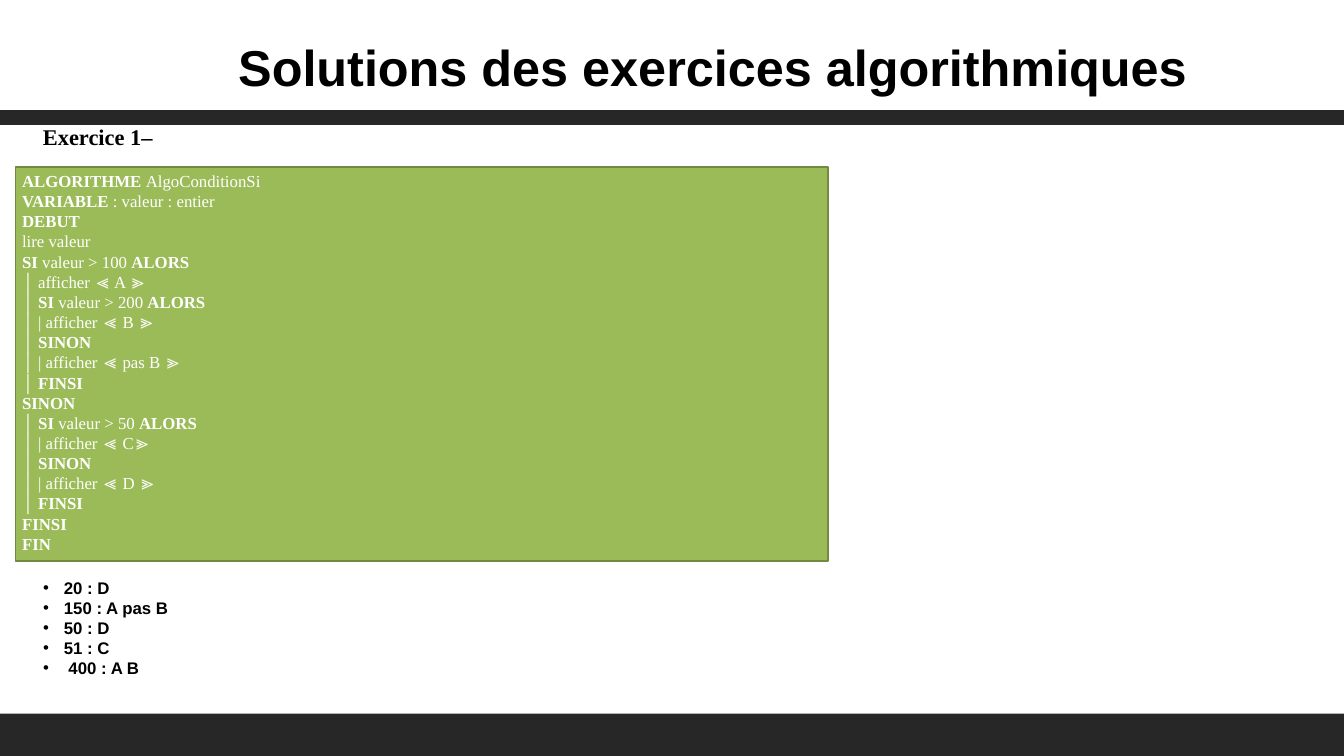
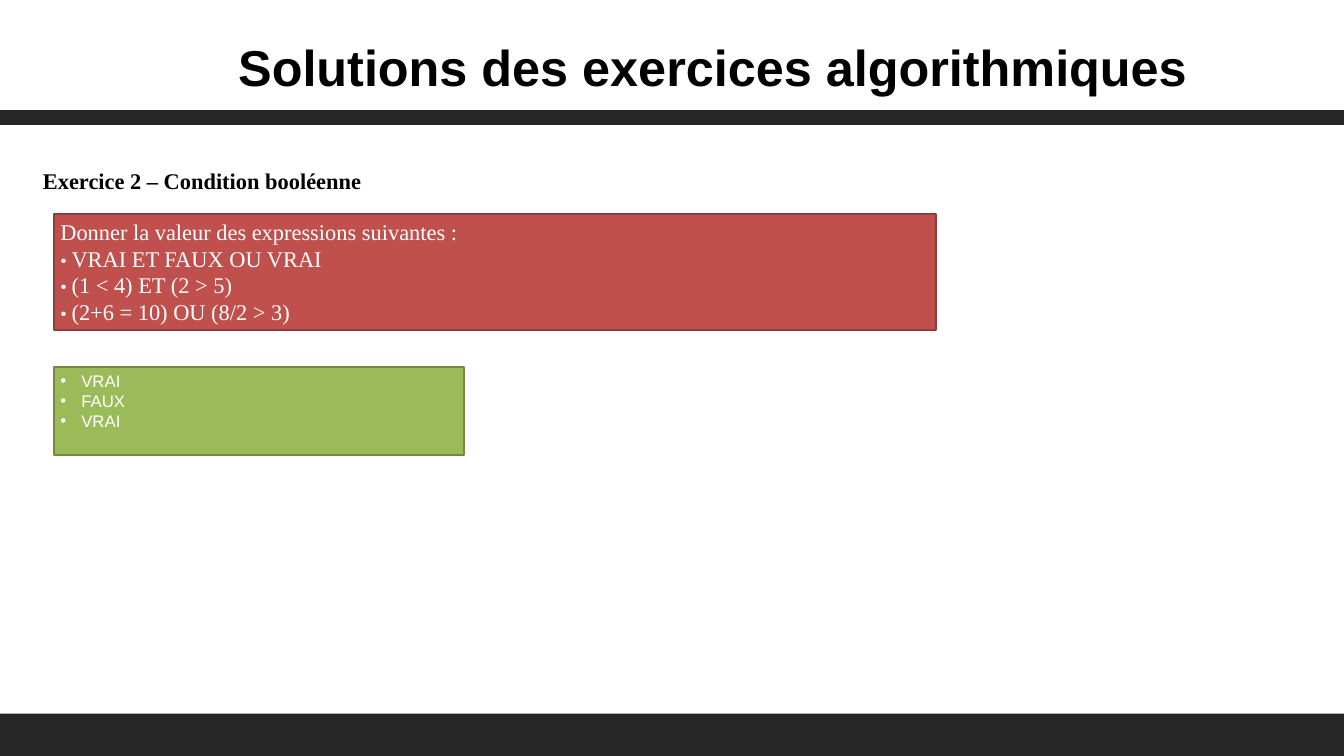
from dataclasses import dataclass, replace

from lxml.etree import SubElement
from pptx import Presentation
from pptx.dml.color import RGBColor
from pptx.enum.shapes import MSO_SHAPE
from pptx.enum.text import MSO_ANCHOR, MSO_AUTO_SIZE, PP_ALIGN
from pptx.oxml.ns import qn
from pptx.util import Inches, Pt

BLACK, WHITE, CHARCOAL = "000000", "FFFFFF", "272727"
GREEN, DARK_GREEN = "9BBB59", "738A42"
RED, DARK_RED = "C0504D", "8E3B39"
SANS, SERIF = "Arial", "Times New Roman"
BULLET_INDENT = Inches(0.31)


@dataclass(frozen=True)
class TextStyle:
    """Font settings of one run."""
    size: int
    font: str
    color: str
    bold: bool = False


TITLE = TextStyle(54, SANS, BLACK, True)
HEADING = TextStyle(24, SERIF, BLACK, True)
CODE = TextStyle(18, SERIF, WHITE)
QUESTION = TextStyle(24, SERIF, WHITE)
RESULT = TextStyle(18, SANS, BLACK, True)
ANSWER = TextStyle(18, SANS, WHITE)

ALGORITHM = [
    "*ALGORITHME *AlgoConditionSi",
    "*VARIABLE *: valeur : entier",
    "*DEBUT*",
    "lire valeur",
    "*SI *valeur > 100 *ALORS*",
    "│ afficher ≪ A ≫",
    "│ *SI *valeur > 200 *ALORS*",
    "│ | afficher ≪ B ≫",
    "│ *SINON*",
    "│ | afficher ≪ pas B ≫",
    "│ *FINSI*",
    "*SINON*",
    "│ *SI *valeur > 50 *ALORS*",
    "│ | afficher ≪ C≫",
    "│ *SINON*",
    "│ | afficher ≪ D ≫",
    "│ *FINSI*",
    "*FINSI*",
    "*FIN*",
]
RESULTS = ["20 : D", "150 : A pas B", "50 : D", "51 : C", " 400 : A B"]
EXPRESSIONS = ["VRAI ET FAUX OU VRAI", "(1 < 4) ET (2 > 5)", "(2+6 = 10) OU (8/2 > 3)"]
ANSWERS = ["VRAI", "FAUX", "VRAI"]


def color(hex_code):
    """Turn a hex string into a colour."""
    return RGBColor.from_string(hex_code)


def plain(texts, style):
    """Make one single-run line of each text."""
    return [[(text, style)] for text in texts]


def code_line(text):
    """Split a code line at its asterisks, which enclose the keywords."""
    return [(part, replace(CODE, bold=index % 2 == 1))
            for index, part in enumerate(text.split("*")) if part]


class Deck:
    """Holds the shared style and the current slide; boxes are in percent of the slide."""

    def __init__(self):
        """Open a wide presentation."""
        self.presentation = Presentation()
        self.presentation.slide_width = Inches(20)
        self.presentation.slide_height = Inches(11.25)
        self.slide = None

    def box(self, left, top, width, height):
        """Convert percentages of the slide to lengths."""
        across = self.presentation.slide_width / 100
        down = self.presentation.slide_height / 100
        return [int(length) for length in
                (left * across, top * down, width * across, height * down)]

    def place(self, shape, box):
        """Move a placeholder to its box."""
        shape.left, shape.top, shape.width, shape.height = self.box(*box)

    def paint(self, shape, fill, line=None):
        """Set fill and outline."""
        shape.fill.solid()
        shape.fill.fore_color.rgb = color(fill)
        if line:
            shape.line.color.rgb = color(line)
            shape.line.width = Pt(2)
        else:
            shape.line.fill.background()

    def add_text(self, shape, lines, align=PP_ALIGN.LEFT, anchor=MSO_ANCHOR.TOP,
                 spacing=1.0, bullets=False):
        """Put lines of runs into a shape."""
        frame = shape.text_frame
        frame.word_wrap = True
        frame.auto_size = MSO_AUTO_SIZE.NONE
        frame.vertical_anchor = anchor
        for index, line in enumerate(lines):
            paragraph = frame.add_paragraph() if index else frame.paragraphs[0]
            paragraph.alignment = align
            paragraph.line_spacing = spacing
            paragraph.space_before = paragraph.space_after = Pt(0)
            if bullets:
                self.bullet(paragraph)
            for text, style in line:
                run = paragraph.add_run()
                run.text = text
                run.font.size = Pt(style.size)
                run.font.name = style.font
                run.font.bold = style.bold
                run.font.color.rgb = color(style.color)

    def bullet(self, paragraph):
        """Give a paragraph a hanging bullet."""
        properties = paragraph._p.get_or_add_pPr()
        properties.set("marL", str(BULLET_INDENT))
        properties.set("indent", str(-BULLET_INDENT))
        SubElement(properties, qn("a:buFont")).set("typeface", SANS)
        SubElement(properties, qn("a:buChar")).set("char", "•")

    def panel(self, box, fill, line=None, lines=()):
        """Add a filled rectangle with optional text."""
        shape = self.slide.shapes.add_shape(MSO_SHAPE.RECTANGLE, *self.box(*box))
        shape.shadow.inherit = False
        self.paint(shape, fill, line)
        self.add_text(shape, lines)

    def start_slide(self):
        """Add a slide with the common title and bands."""
        self.slide = self.presentation.slides.add_slide(self.presentation.slide_layouts[1])
        self.panel((-0.1, 14.58, 100.1, 1.96), CHARCOAL)
        self.panel((0, 94.4, 100, 5.78), CHARCOAL)
        title = self.slide.shapes.title
        self.place(title, (8.05, 5.69, 90, 7.29))
        frame = title.text_frame
        frame.margin_left = frame.margin_top = frame.margin_right = frame.margin_bottom = 0
        self.add_text(title, plain(["Solutions des exercices algorithmiques"], TITLE),
                      PP_ALIGN.CENTER, MSO_ANCHOR.MIDDLE, 0.9)

    def heading(self, top, text):
        """Add the exercise heading."""
        shape = self.slide.shapes.add_textbox(*self.box(2.7, top, 50.05, 4.44))
        self.add_text(shape, plain([text], HEADING))

    def bullet_list(self, box, texts, style, fill=None, line=None):
        """Fill the body placeholder with a bulleted list."""
        body = self.slide.placeholders[1]
        self.place(body, box)
        if fill:
            self.paint(body, fill, line)
        self.add_text(body, plain(texts, style), bullets=True)


def main():
    """Build both solution slides."""
    deck = Deck()

    deck.start_slide()
    deck.heading(15.82, "Exercice 1–")
    deck.panel((1.15, 22.13, 60.45, 52.09), GREEN, DARK_GREEN,
               [code_line(text) for text in ALGORITHM])
    deck.bullet_list((2.7, 75.91, 59.6, 14.4), RESULTS, RESULT)

    deck.start_slide()
    deck.heading(21.6, "Exercice 2 – Condition booléenne")
    question = plain(["Donner la valeur des expressions suivantes :"], QUESTION)
    question += [[("• ", replace(QUESTION, size=20)), (text, QUESTION)]
                 for text in EXPRESSIONS]
    deck.panel((4, 28.36, 65.65, 15.29), RED, DARK_RED, question)
    deck.bullet_list((4, 48.53, 30.5, 11.64), ANSWERS, ANSWER, GREEN, DARK_GREEN)

    deck.presentation.save("out.pptx")


if __name__ == "__main__":
    main()
